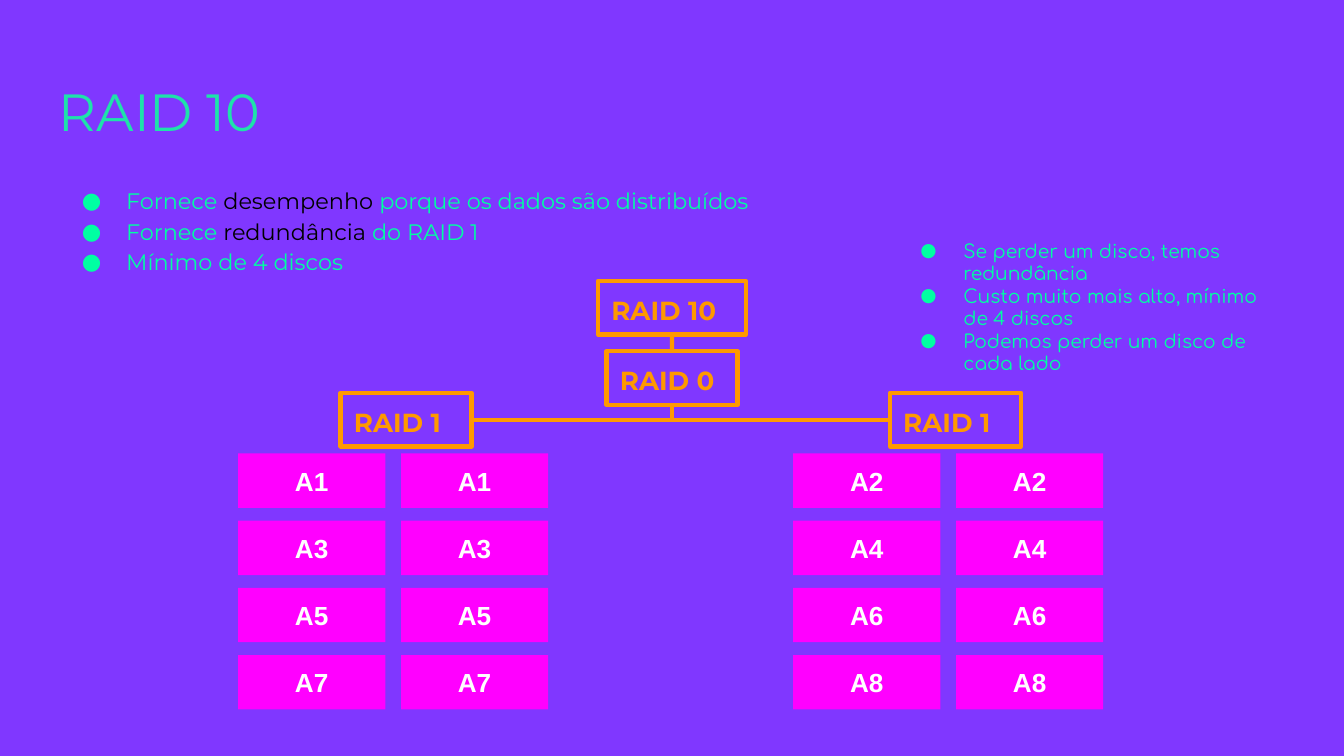
"""Build the RAID 10 slide on a grid of 100 columns by 56.25 rows."""
from itertools import product

from lxml.etree import SubElement
from pptx import Presentation
from pptx.dml.color import RGBColor
from pptx.enum.shapes import MSO_CONNECTOR, MSO_SHAPE
from pptx.enum.text import MSO_ANCHOR, PP_ALIGN
from pptx.oxml.ns import qn
from pptx.util import Inches, Pt

COLORS = {
    "background": "8037FF",
    "title": "1EE2AA",
    "body": "00FFA2",
    "emphasis": "000000",
    "level": "FF9900",
    "block": "FF00FF",
    "block_text": "FFFFFF",
}
COLUMNS, ROWS = 100, 56.25
CELL = Inches(0.1)
TOP, LEFT, BOTTOM, RIGHT = range(4)

FEATURES = [
    ("Fornece ", "desempenho ", "porque os dados são distribuídos"),
    ("Fornece ", "redundância", " do RAID 1"),
    ("Mínimo de 4 discos",),
]
TRADE_OFFS = [
    ("Se perder um disco, temos redundância",),
    ("Custo muito mais alto, mínimo de 4 discos",),
    ("Podemos perder um disco de cada lado",),
]


def color(name):
    return RGBColor.from_string(COLORS[name])


def grid(*lengths):
    return [round(length * CELL) for length in lengths]


def set_margins(text_frame):
    text_frame.word_wrap = True
    text_frame.margin_left = text_frame.margin_right = CELL
    text_frame.margin_top = text_frame.margin_bottom = CELL


def format_run(run, font_name, size, color_name, bold=False):
    run.font.name = font_name
    run.font.size = Pt(size)
    run.font.bold = bold
    run.font.color.rgb = color(color_name)


def add_text_box(slide, place):
    text_frame = slide.shapes.add_textbox(*grid(*place)).text_frame
    set_margins(text_frame)
    return text_frame


def add_title(slide, text, place):
    text_frame = add_text_box(slide, place)
    text_frame.text = text
    format_run(text_frame.paragraphs[0].runs[0], "Montserrat", 28, "title")


def add_bullet(paragraph, font_name, size, hanging):
    properties = paragraph._p.get_or_add_pPr()
    properties.set("marL", str(Inches(0.5)))
    properties.set("indent", str(-Inches(hanging)))
    bullet_color = SubElement(properties, qn("a:buClr"))
    SubElement(bullet_color, qn("a:srgbClr"), val=COLORS["body"])
    SubElement(properties, qn("a:buSzPts"), val=str(size * 100))
    SubElement(properties, qn("a:buFont"), typeface=font_name)
    SubElement(properties, qn("a:buChar"), char="●")


def add_bullet_list(slide, items, place, font_name, size, hanging, line_spacing):
    """Write one bullet per item, with every second piece emphasised."""
    text_frame = add_text_box(slide, place)
    for number, pieces in enumerate(items):
        paragraph = text_frame.add_paragraph() if number else text_frame.paragraphs[0]
        add_bullet(paragraph, font_name, size, hanging)
        paragraph.line_spacing = line_spacing
        for index, piece in enumerate(pieces):
            run = paragraph.add_run()
            run.text = piece
            format_run(run, font_name, size, "emphasis" if index % 2 else "body")


def add_rectangle(slide, text, place):
    shape = slide.shapes.add_shape(MSO_SHAPE.RECTANGLE, *grid(*place))
    shape.shadow.inherit = False
    set_margins(shape.text_frame)
    shape.text_frame.text = text
    return shape


def add_level(slide, text, left, top, width=9.75):
    shape = add_rectangle(slide, text, (left, top, width, 4))
    shape.fill.background()
    shape.line.color.rgb = color("level")
    shape.line.width = Pt(2.25)
    shape.text_frame.vertical_anchor = MSO_ANCHOR.TOP
    paragraph = shape.text_frame.paragraphs[0]
    paragraph.alignment = PP_ALIGN.LEFT
    format_run(paragraph.runs[0], "Montserrat", 14, "level", bold=True)
    return shape


def add_block(slide, text, left, top):
    shape = add_rectangle(slide, text, (left, top, 10.95, 4.05))
    shape.fill.solid()
    shape.fill.fore_color.rgb = color("block")
    shape.line.fill.background()
    shape.text_frame.vertical_anchor = MSO_ANCHOR.MIDDLE
    paragraph = shape.text_frame.paragraphs[0]
    paragraph.alignment = PP_ALIGN.CENTER
    format_run(paragraph.runs[0], "Arial", 14, "block_text", bold=True)


def add_mirror(slide, left, first_number):
    """Stack four odd or even blocks on each of two identical disks."""
    for disk, row in product(range(2), range(4)):
        label = f"A{first_number + 2 * row}"
        add_block(slide, label, left + 12.12 * disk, 33.74 + 5 * row)


def join(slide, begin, begin_side, end, end_side, bent=False):
    kind = MSO_CONNECTOR.ELBOW if bent else MSO_CONNECTOR.STRAIGHT
    connector = slide.shapes.add_connector(kind, 0, 0, 0, 0)
    connector.begin_connect(begin, begin_side)
    connector.end_connect(end, end_side)
    connector.line.color.rgb = color("level")
    connector.line.width = Pt(2.25)
    properties = connector._element.spPr
    if bent:
        properties.find(qn("a:prstGeom")).set("prst", "bentConnector2")
    SubElement(properties, qn("a:effectLst"))


def main():
    presentation = Presentation()
    presentation.slide_width, presentation.slide_height = grid(COLUMNS, ROWS)
    slide = presentation.slides.add_slide(presentation.slide_layouts[6])
    slide.background.fill.solid()
    slide.background.fill.fore_color.rgb = color("background")

    add_title(slide, "RAID 10", (3.41, 4.87, 93.18, 6.26))
    add_bullet_list(slide, FEATURES, (3.41, 12.6, 93.18, 9.6), "Montserrat", 12, 0.33, 1.15)
    add_bullet_list(slide, TRADE_OFFS, (65.7, 16.83, 30.5, 5.4), "Comfortaa", 10, 0.32, 1.0)

    raid_10 = add_level(slide, "RAID 10", 44.5, 20.9, width=11)
    raid_0 = add_level(slide, "RAID 0", 45.13, 26.13)
    left_raid_1 = add_level(slide, "RAID 1", 25.34, 29.23)
    right_raid_1 = add_level(slide, "RAID 1", 66.22, 29.23)

    add_mirror(slide, 17.72, first_number=1)
    add_mirror(slide, 59.02, first_number=2)

    join(slide, raid_0, TOP, raid_10, BOTTOM)
    join(slide, left_raid_1, RIGHT, raid_0, BOTTOM, bent=True)
    join(slide, right_raid_1, LEFT, raid_0, BOTTOM, bent=True)

    presentation.save("out.pptx")


if __name__ == "__main__":
    main()
